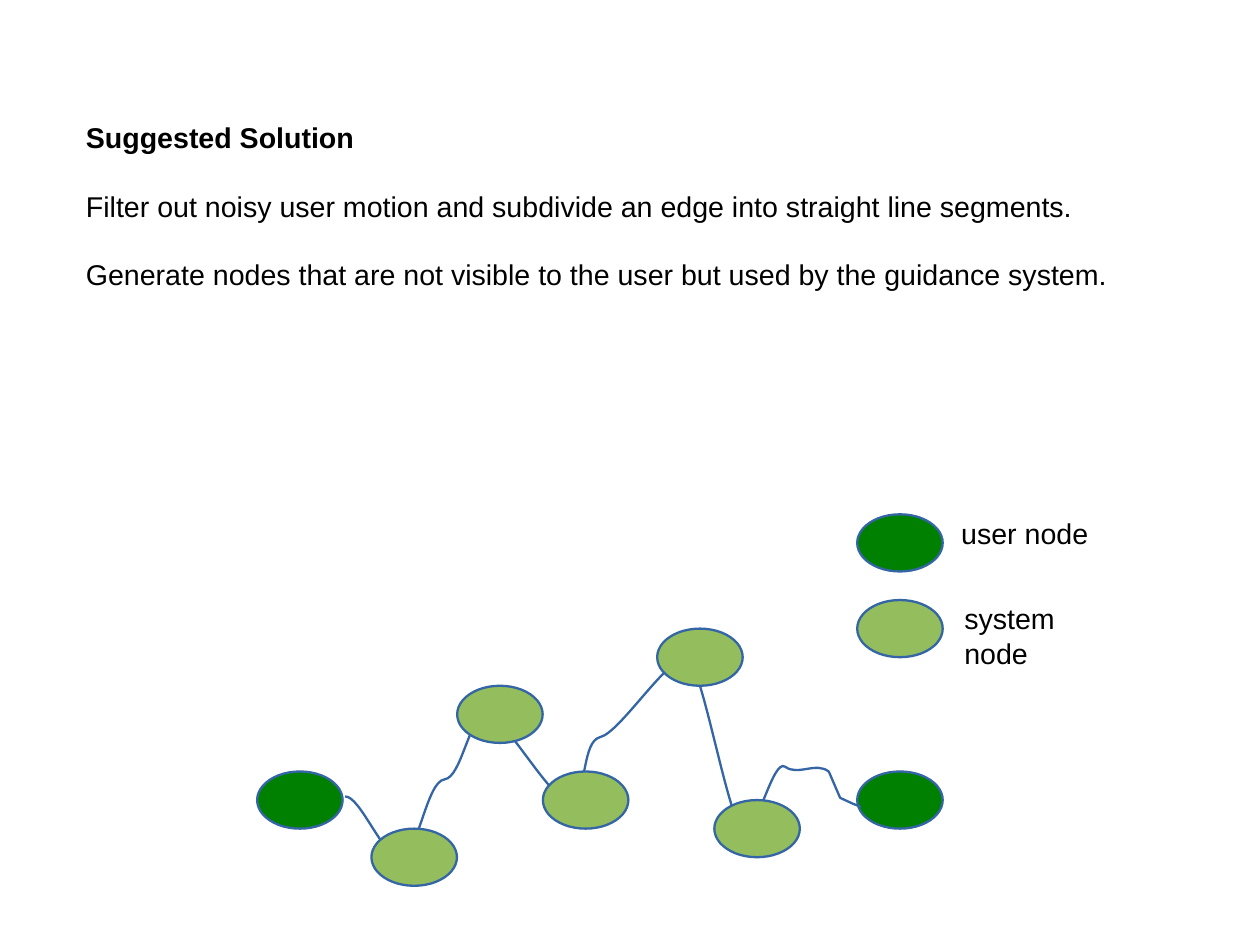
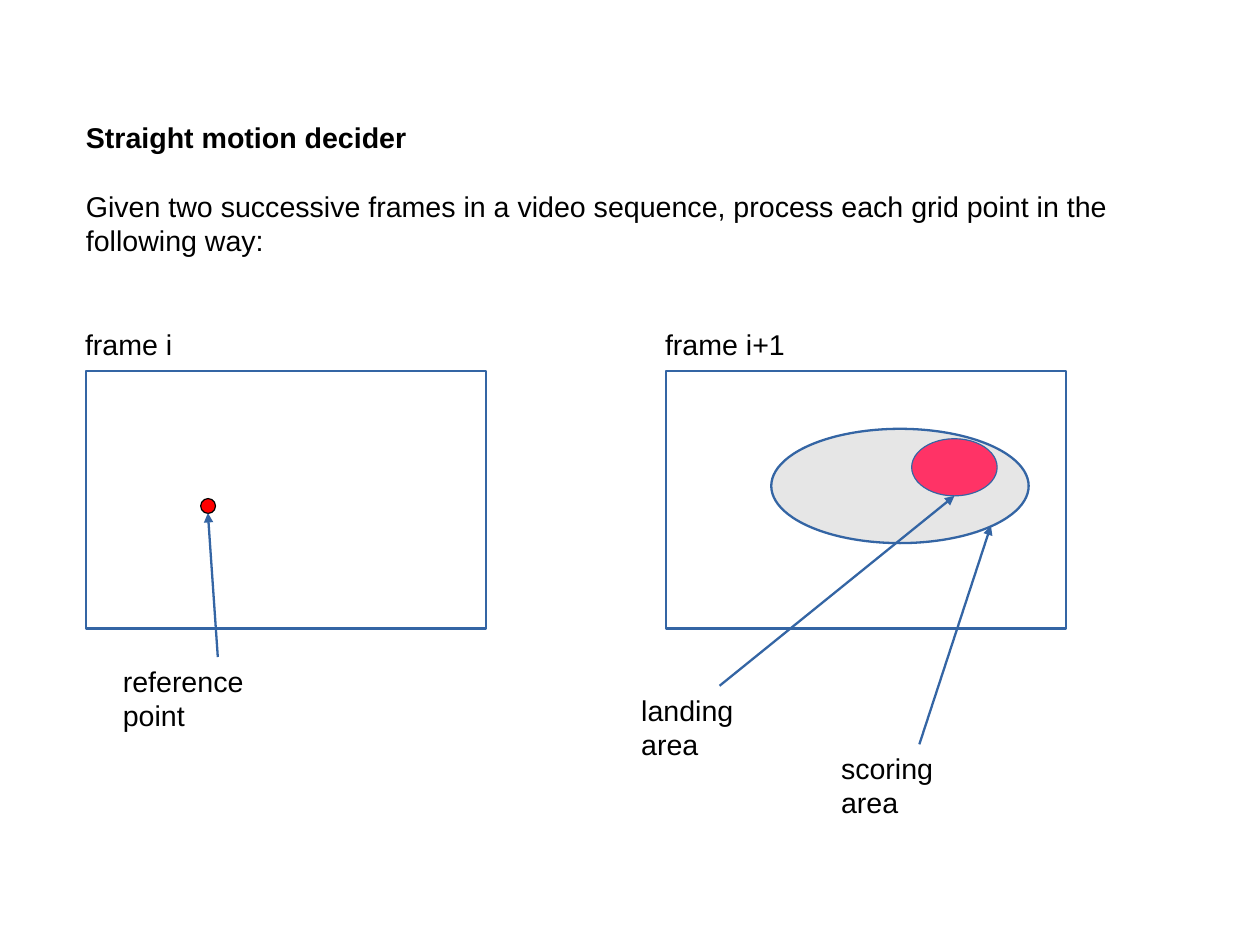
from lxml import etree
from pptx import Presentation
from pptx.dml.color import RGBColor
from pptx.enum.shapes import MSO_CONNECTOR as CONNECTOR, MSO_SHAPE as SHAPE
from pptx.enum.text import MSO_ANCHOR as ANCHOR, PP_ALIGN as ALIGN
from pptx.oxml.ns import qn
from pptx.util import Cm, Pt

# Shared style
FONT = "Arial"
TEXT_SIZE = 18
BLACK, WHITE = "000000", "FFFFFF"
BLUE = "3465A4"
USER_GREEN, SYSTEM_GREEN = "008000", "94BD5E"
GREY, PINK, RED = "E6E6E6", "FF3366", "FF0000"
LINE_WIDTH = 1.45
GRID = 1.27 / 2  # drawing grid in cm
NODE_SIZE = (1.9, 1.27)
FRAME_SIZE = (8.89, 5.72)
LABEL_HEIGHT = 1.24

# Nodes as (column, row) on the drawing grid
USER_NODES = [(9, 27), (30, 27)]
SYSTEM_NODES = [(13, 29), (16, 24), (19, 27), (23, 22), (25, 28)]
LEGEND_NODES = [((30, 18), USER_GREEN), ((30, 21), SYSTEM_GREEN)]

# User track in cm: start, cubic curves (two controls, end), straight tail
TRACK_START = (7.67, 17.7)
TRACK_CURVES = [
    ((8, 17.68), (8.53, 19.08), (8.89, 19.05)),
    ((9.3, 19.02), (9.47, 17.37), (9.88, 17.32)),
    ((10.26, 17.27), (10.41, 15.95), (10.8, 15.88)),
    ((11.18, 15.8), (12.32, 17.98), (12.7, 17.78)),
    ((13.06, 17.58), (12.93, 16.48), (13.34, 16.38)),
    ((13.77, 16.28), (14.78, 14.68), (15.24, 14.61)),
    ((15.57, 14.55), (16.18, 18.29), (16.51, 18.42)),
    ((16.84, 18.54), (17.17, 16.84), (17.45, 17.04)),
    ((17.73, 17.25), (18.14, 16.92), (18.42, 17.15)),
]
TRACK_TAIL = [(18.67, 17.73), (18.95, 17.86), (19.13, 17.93)]


def color(value):
    return RGBColor.from_string(value)


def style_line(line, line_color=BLUE, width=LINE_WIDTH):
    line.color.rgb = color(line_color)
    line.width = Pt(width)


def add_text(slide, paragraphs, left, top, width, height, insets):
    """Add a top-anchored box; insets are left, top, right, bottom."""
    box = slide.shapes.add_textbox(Cm(left), Cm(top), Cm(width), Cm(height))
    frame = box.text_frame
    frame.word_wrap = True
    frame.vertical_anchor = ANCHOR.TOP
    (frame.margin_left, frame.margin_top,
     frame.margin_right, frame.margin_bottom) = map(Cm, insets)
    frame.text = "\n".join(paragraphs)
    for paragraph in frame.paragraphs:
        paragraph.alignment = ALIGN.LEFT
        paragraph.font.name = FONT
        paragraph.font.size = Pt(TEXT_SIZE)
        paragraph.font.color.rgb = color(BLACK)
    return box


def add_heading(slide, height, title, *body):
    """Add the bold title with its body paragraphs below."""
    box = add_text(slide, (title, *body), 1.66, 2.54, 25.65, height,
                   (0.25, 0.13, 0.25, 0.13))
    first, *rest = box.text_frame.paragraphs
    first.font.bold = True
    for paragraph in rest:
        paragraph.space_before = Pt(21.6)


def add_label(slide, text, left, top, width, right_inset=0):
    return add_text(slide, [text], left, top, width, LABEL_HEIGHT,
                    (0.28, 0.15, right_inset, 0.15))


def add_wrapped_label(slide, text, left, top, width):
    return add_label(slide, text, left, top, width, right_inset=0.4)


def add_figure(slide, kind, left, top, size, fill,
               line_color=BLUE, line_width=LINE_WIDTH):
    shape = slide.shapes.add_shape(kind, Cm(left), Cm(top), *map(Cm, size))
    shape.shadow.inherit = False
    shape.fill.solid()
    shape.fill.fore_color.rgb = color(fill)
    style_line(shape.line, line_color, line_width)


def add_node(slide, cell, fill):
    column, row = cell
    add_figure(slide, SHAPE.OVAL, column * GRID, row * GRID, NODE_SIZE, fill)


def add_track(slide):
    """Draw the track, turning its first segments into cubic curves."""
    ends = [curve[-1] for curve in TRACK_CURVES] + TRACK_TAIL
    builder = slide.shapes.build_freeform(*map(Cm, TRACK_START))
    builder.add_line_segments([(Cm(x), Cm(y)) for x, y in ends], close=False)
    track = builder.convert_to_shape()
    track.shadow.inherit = False
    track.fill.background()
    style_line(track.line)
    segments = list(track._element.iter(qn("a:lnTo")))
    for segment, curve in zip(segments, TRACK_CURVES):
        cubic = etree.Element(qn("a:cubicBezTo"))
        for x, y in curve:
            etree.SubElement(cubic, qn("a:pt"), x=str(Cm(x) - track.left),
                             y=str(Cm(y) - track.top))
        segment.getparent().replace(segment, cubic)


def add_arrow(slide, label, end):
    """Point from the top middle of a label to a position in cm."""
    arrow = slide.shapes.add_connector(
        CONNECTOR.STRAIGHT, label.left, label.top, *map(Cm, end))
    arrow.begin_connect(label, 0)
    style_line(arrow.line)
    properties = arrow.line._get_or_add_ln()
    etree.SubElement(properties, qn("a:tailEnd"), type="triangle")
    etree.SubElement(arrow._element.spPr, qn("a:effectLst"))


def build_solution(slide):
    add_heading(
        slide, 4.98, "Suggested Solution",
        "Filter out noisy user motion and subdivide an edge into straight "
        "line segments.",
        "Generate nodes that are not visible to the user but used by the "
        "guidance system.")
    # Track with its nodes
    for cell in USER_NODES:
        add_node(slide, cell, USER_GREEN)
    add_track(slide)
    for cell in SYSTEM_NODES:
        add_node(slide, cell, SYSTEM_GREEN)
    # Legend
    for cell, fill in LEGEND_NODES:
        add_node(slide, cell, fill)
    add_label(slide, "user node", 21.08, 11.31, 3.33)
    add_wrapped_label(slide, "system node", 21.15, 13.21, 4.09)


def build_decider(slide):
    add_heading(
        slide, 4.04, "Straight motion decider",
        "Given two successive frames in a video sequence, process each grid "
        "point in the following way:")
    # Video frames
    for left, name, width in ((1.91, "frame i", 2.49),
                              (14.8, "frame i+1", 3.23)):
        add_figure(slide, SHAPE.RECTANGLE, left, 8.25, FRAME_SIZE, WHITE)
        add_label(slide, name, left - 0.3, 7.11, width)
    # Areas and reference point
    add_figure(slide, SHAPE.OVAL, 17.14, 9.53, (5.72, 2.54), GREY)
    add_figure(slide, SHAPE.OVAL, 20.26, 9.75, NODE_SIZE, PINK, line_width=0)
    add_figure(slide, SHAPE.OVAL, 4.46, 11.08, (0.33, 0.33), RED, BLACK, 0)
    # Labels with arrows
    for text, left, top, width, target in (
            ("reference point", 2.45, 14.6, 4.78, (4.62, 11.4)),
            ("landing area", 13.97, 15.24, 4.04, (21.21, 11.02)),
            ("scoring area", 18.41, 16.54, 4.04, (22.02, 11.68))):
        label = add_wrapped_label(slide, text, left, top, width)
        add_arrow(slide, label, target)


def main():
    presentation = Presentation()
    presentation.slide_width = Cm(28)
    presentation.slide_height = Cm(21)
    blank = presentation.slide_layouts[6]
    for build in (build_solution, build_decider):
        build(presentation.slides.add_slide(blank))
    presentation.save("out.pptx")


if __name__ == "__main__":
    main()
